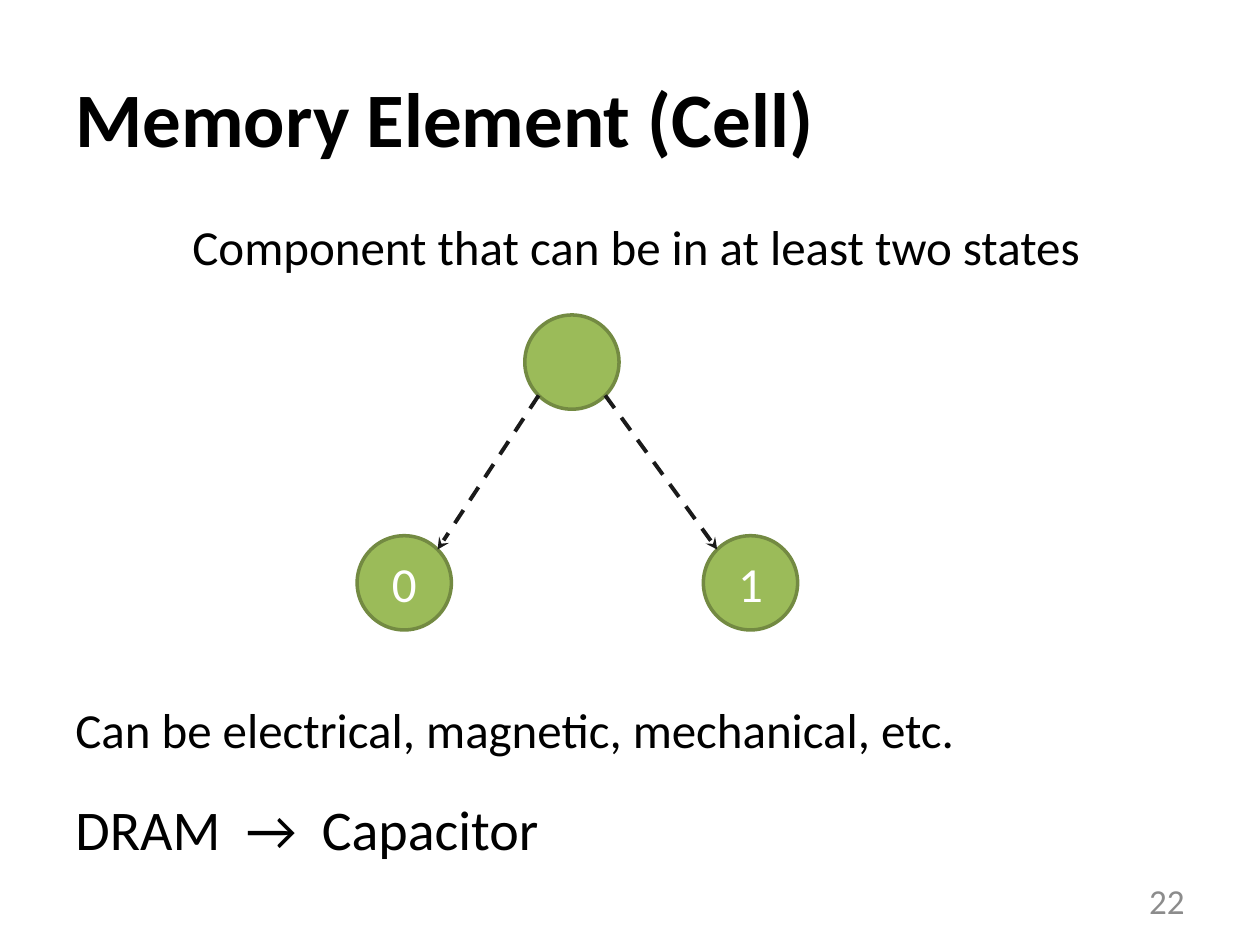
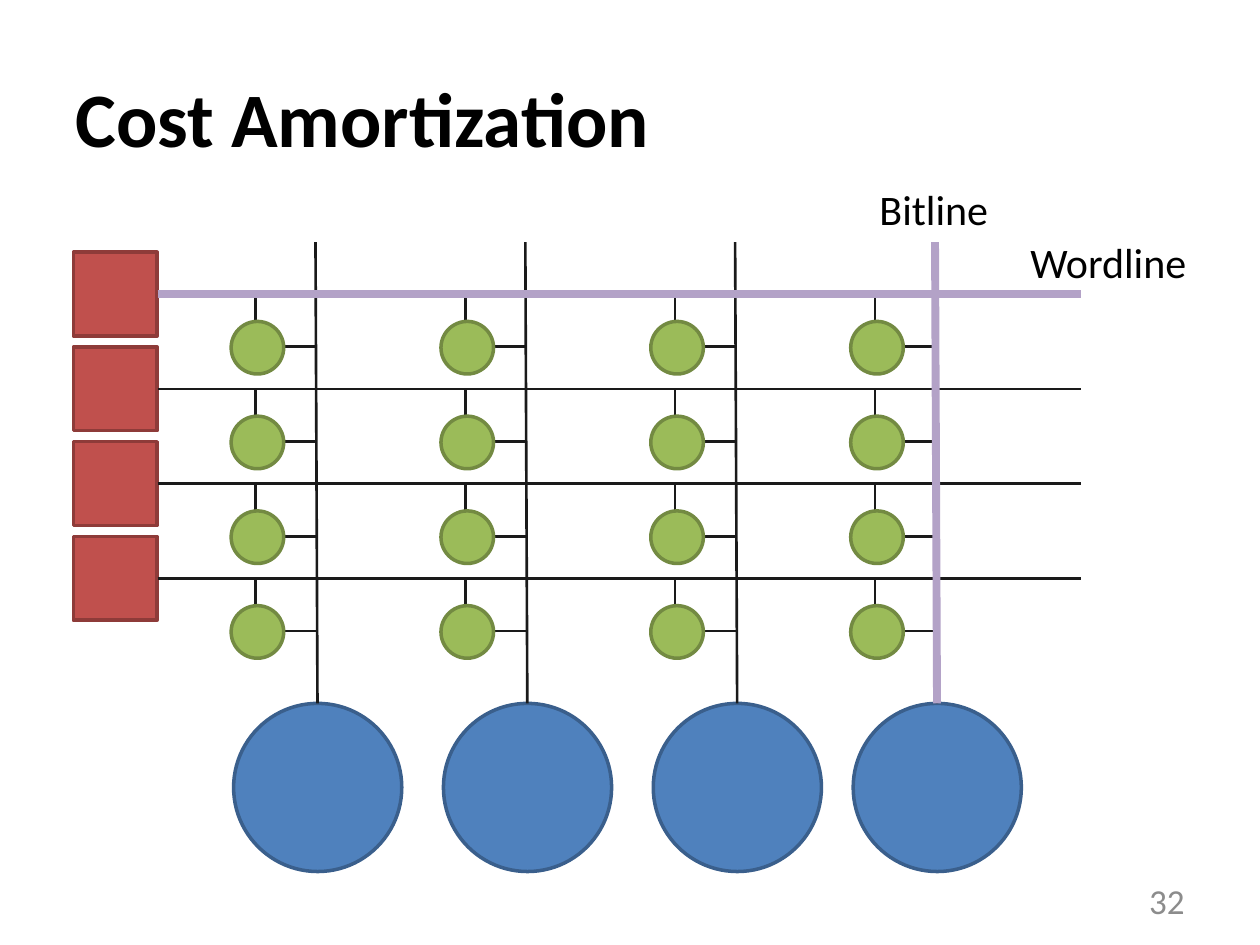
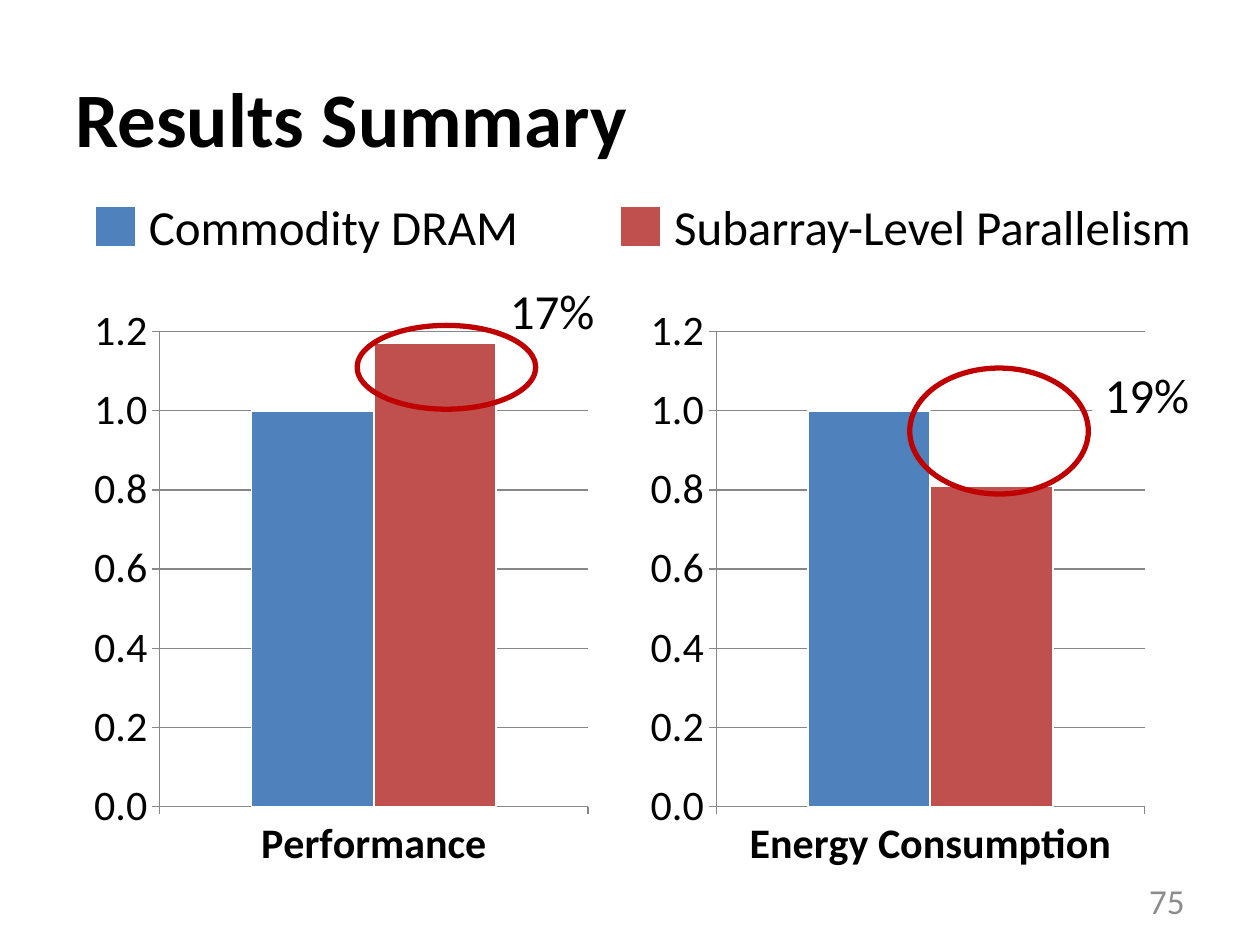
from dataclasses import dataclass
from math import sqrt

from lxml import etree
from pptx import Presentation
from pptx.chart.data import CategoryChartData
from pptx.dml.color import RGBColor
from pptx.enum.chart import XL_CHART_TYPE, XL_TICK_MARK
from pptx.enum.dml import MSO_LINE
from pptx.enum.shapes import MSO_CONNECTOR, MSO_SHAPE
from pptx.enum.text import MSO_ANCHOR, PP_ALIGN
from pptx.oxml.ns import qn
from pptx.util import Cm, Pt

ELLIPSE, RECT = MSO_SHAPE.OVAL, MSO_SHAPE.RECTANGLE
STRAIGHT = MSO_CONNECTOR.STRAIGHT
COLUMNS = XL_CHART_TYPE.COLUMN_CLUSTERED
TICK_OUT, TICK_NONE = XL_TICK_MARK.OUTSIDE, XL_TICK_MARK.NONE
DASH = MSO_LINE.DASH
LEFT, CENTER, RIGHT = PP_ALIGN.LEFT, PP_ALIGN.CENTER, PP_ALIGN.RIGHT
TOP, MIDDLE = MSO_ANCHOR.TOP, MSO_ANCHOR.MIDDLE

FONT = "Calibri"
BLACK, WHITE, GRAY, INK = "000000", "FFFFFF", "8C8C8C", "1A1A1A"
BLUE, RED, PURPLE, GRID = "4F81BD", "C0504D", "B3A2C7", "878787"


@dataclass(frozen=True)
class Box:
    """Position and size in centimetres."""
    x: float
    y: float
    w: float
    h: float

    def emu(self) -> tuple:
        return Cm(self.x), Cm(self.y), Cm(self.w), Cm(self.h)


@dataclass(frozen=True)
class Look:
    fill: str | None
    line: str
    width: float = 2


@dataclass(frozen=True)
class TextStyle:
    size: float
    color: str = BLACK
    bold: bool = False
    align: PP_ALIGN = LEFT
    anchor: MSO_ANCHOR = TOP
    wrap: bool = True


@dataclass(frozen=True)
class Stroke:
    color: str = INK
    width: float = 1.5
    dashed_arrow: bool = False


@dataclass(frozen=True)
class Result:
    category: str
    value: float
    chart: Box
    change: str
    label: Box
    ring: Box


CELL = Look("9BBB59", "738A42")
DRIVER = Look(RED, "8E3B39")
SENSE_AMP = Look(BLUE, "3A5F8C")
RING = Look(None, "C00000", 3)

TITLE = TextStyle(44, bold=True, anchor=MIDDLE)
PAGE = TextStyle(20, GRAY, align=RIGHT, anchor=MIDDLE)
STATE = TextStyle(28, WHITE, align=CENTER, anchor=MIDDLE)
BODY = TextStyle(28)
LABEL = TextStyle(28, wrap=False)
WIRE_LABEL = TextStyle(24, wrap=False)

WIRE = Stroke()
HIGHLIGHT = Stroke(PURPLE, 4.5)
ARROW = Stroke(INK, 2.25, True)


# Shared helpers
def rgb(color: str) -> RGBColor:
    return RGBColor.from_string(color)


def set_text(sp, text: str, style: TextStyle) -> None:
    tf = sp.text_frame
    tf.text = text
    tf.word_wrap = style.wrap
    tf.vertical_anchor = style.anchor
    p = tf.paragraphs[0]
    p.alignment = style.align
    set_font(p.runs[0].font, style.size, style.color, style.bold)


def set_font(font, size: float, color: str = BLACK, bold: bool = False) -> None:
    font.name, font.size, font.bold = FONT, Pt(size), bold
    font.color.rgb = rgb(color)


def add_text(s, box: Box, text: str, style: TextStyle, fill: str | None = None) -> None:
    sp = s.shapes.add_textbox(*box.emu())
    if fill:
        sp.fill.solid()
        sp.fill.fore_color.rgb = rgb(fill)
    set_text(sp, text, style)


def add_shape(s, kind: MSO_SHAPE, box: Box, look: Look, text: str = "") -> None:
    sp = s.shapes.add_shape(kind, *box.emu())
    sp.shadow.inherit = False
    if look.fill:
        sp.fill.solid()
        sp.fill.fore_color.rgb = rgb(look.fill)
    else:
        sp.fill.background()
    sp.line.color.rgb = rgb(look.line)
    sp.line.width = Pt(look.width)
    if text:
        set_text(sp, text, STATE)


def add_line(s, x1: float, y1: float, x2: float, y2: float, stroke: Stroke = WIRE) -> None:
    line = s.shapes.add_connector(STRAIGHT, Cm(x1), Cm(y1), Cm(x2), Cm(y2))
    line.line.color.rgb = rgb(stroke.color)
    line.line.width = Pt(stroke.width)
    if stroke.dashed_arrow:
        line.line.dash_style = DASH
        etree.SubElement(line.line._get_or_add_ln(), qn("a:tailEnd"), type="stealth")
    etree.SubElement(line._element.spPr, qn("a:effectLst"))


def new_slide(prs, title: str, number: int):
    s = prs.slides.add_slide(prs.slide_layouts[6])
    add_text(s, Box(1.27, 0.76, 22.86, 3.18), title, TITLE)
    add_text(s, Box(18.21, 17.65, 5.92, 1.02), str(number), PAGE)
    return s


# Memory element: one cell with two possible states
def memory_element(prs) -> None:
    s = new_slide(prs, "Memory Element (Cell)", 22)
    size, top, bottom, root_x = 1.9, 6.35, 10.8, 10.58
    add_shape(s, ELLIPSE, Box(root_x, top, size, size), CELL)

    reach = size / 2 / sqrt(2)  # from a centre to its diagonal point
    mid = size / 2
    for text, x, side in (("0", 7.2, -1), ("1", 14.18, 1)):
        add_shape(s, ELLIPSE, Box(x, bottom, size, size), CELL, text)
        add_line(s, root_x + mid + side * reach, top + mid + reach,
                 x + mid - side * reach, bottom + mid - reach, ARROW)

    add_text(s, Box(3.63, 4.24, 18.62, 1.45),
             "Component that can be in at least two states", LABEL)
    add_text(s, Box(1.27, 13.97, 22.23, 1.45),
             "Can be electrical, magnetic, mechanical, etc.", BODY)
    add_text(s, Box(1.27, 15.9, 22.23, 1.63), "DRAM  →  Capacitor", TextStyle(32))


# Cost amortization: array of cells with shared drivers and sense amplifiers
def cost_amortization(prs) -> None:
    s = new_slide(prs, "Cost Amortization", 32)
    cell, driver, amp = 1.06, 1.69, 3.39
    wire_left, wire_right = 3.18, 21.8
    bit_top, bit_bottom = 4.88, 14.18
    columns = (4.66, 8.89, 13.12, 17.15)
    wordlines = [5.93 + 1.91 * row for row in range(4)]

    for y in wordlines:
        add_shape(s, RECT, Box(1.48, y - driver / 2, driver, driver), DRIVER)
        add_line(s, wire_left, y, wire_right, y)

    for x in columns:
        add_shape(s, ELLIPSE, Box(x + 0.05, bit_bottom, amp, amp), SENSE_AMP)
        add_line(s, x + 1.74, bit_bottom, x + 1.7, bit_top)
        for y in wordlines:
            add_line(s, x + cell, y + 1.06, x + 1.72, y + 1.06)
            add_line(s, x + 0.49, y + 0.63, x + 0.49, y)
            add_shape(s, ELLIPSE, Box(x, y + 0.55, cell, cell), CELL)

    last = columns[-1]
    add_line(s, last + 1.74, bit_bottom, last + 1.7, bit_top, HIGHLIGHT)
    add_line(s, wire_left, wordlines[0], wire_right, wordlines[0], HIGHLIGHT)
    add_text(s, Box(17.48, 3.58, 2.72, 1.27), "Bitline", WIRE_LABEL)
    add_text(s, Box(20.52, 4.65, 3.68, 1.27), "Wordline", WIRE_LABEL)


# Results: two column charts with a shared legend
def add_result_chart(s, result: Result) -> None:
    data = CategoryChartData()
    data.categories = [result.category]
    data.add_series("Series 1", [1])
    data.add_series("Series 2", [result.value])
    chart = s.shapes.add_chart(COLUMNS, *result.chart.emu(), data).chart
    chart.has_legend = chart.has_title = False
    set_font(chart.font, 10)

    plot = chart.plots[0]
    plot.gap_width, plot.overlap, plot.vary_by_categories = 150, 0, False
    for series, color in zip(plot.series, (BLUE, RED)):
        series.format.fill.solid()
        series.format.fill.fore_color.rgb = rgb(color)
        series.format.line.color.rgb = rgb(WHITE)
        series.format.line.width = Pt(1)

    cat, val = chart.category_axis, chart.value_axis
    val.minimum_scale, val.maximum_scale, val.major_unit = 0, 1.2, 0.2
    val.has_major_gridlines = True
    val.tick_labels.number_format = "0.0"
    val.tick_labels.number_format_is_linked = False
    set_font(cat.tick_labels.font, 24, bold=True)
    set_font(val.tick_labels.font, 24)
    for axis in (cat, val):
        axis.major_tick_mark, axis.minor_tick_mark = TICK_OUT, TICK_NONE
    for part in (cat, val, val.major_gridlines):
        part.format.line.color.rgb = rgb(GRID)
        part.format.line.width = Pt(0.75)


def results_summary(prs) -> None:
    s = new_slide(prs, "Results Summary", 75)
    results = (
        Result("Performance", 1.17, Box(1.69, 5.93, 10.37, 11.85),
               "17%", Box(10.03, 5.54, 2.24, 1.45), Box(7.2, 6.56, 3.6, 1.69)),
        Result("Energy Consumption", 0.81, Box(12.91, 5.93, 10.37, 11.85),
               "19%", Box(22.02, 7.22, 2.24, 1.45), Box(18.34, 7.42, 3.6, 2.54)),
    )
    for result in results:
        add_result_chart(s, result)

    legend = (("Commodity DRAM", BLUE, 1.9, 8.05),
              ("Subarray-Level Parallelism", RED, 12.49, 11.05))
    for text, color, x, width in legend:
        add_shape(s, RECT, Box(x, 4.14, 0.85, 0.85), Look(color, WHITE))
        add_text(s, Box(x + 0.85, 3.84, width, 1.45), text, LABEL)

    for result in results:
        add_text(s, result.label, result.change, LABEL, WHITE)
        add_shape(s, ELLIPSE, result.ring, RING)


def main() -> None:
    prs = Presentation()
    prs.slide_width, prs.slide_height = Cm(25.4), Cm(19.05)
    for build in (memory_element, cost_amortization, results_summary):
        build(prs)
    prs.save("out.pptx")


if __name__ == "__main__":
    main()
